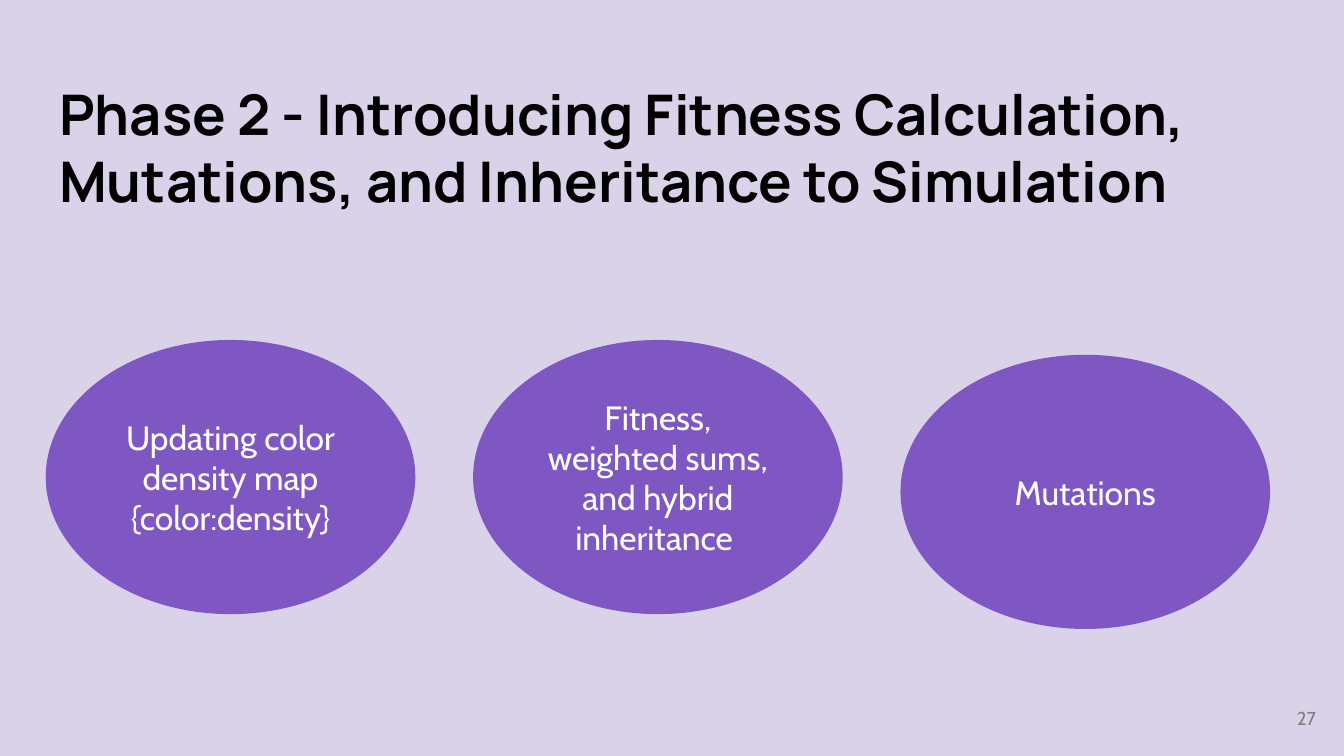
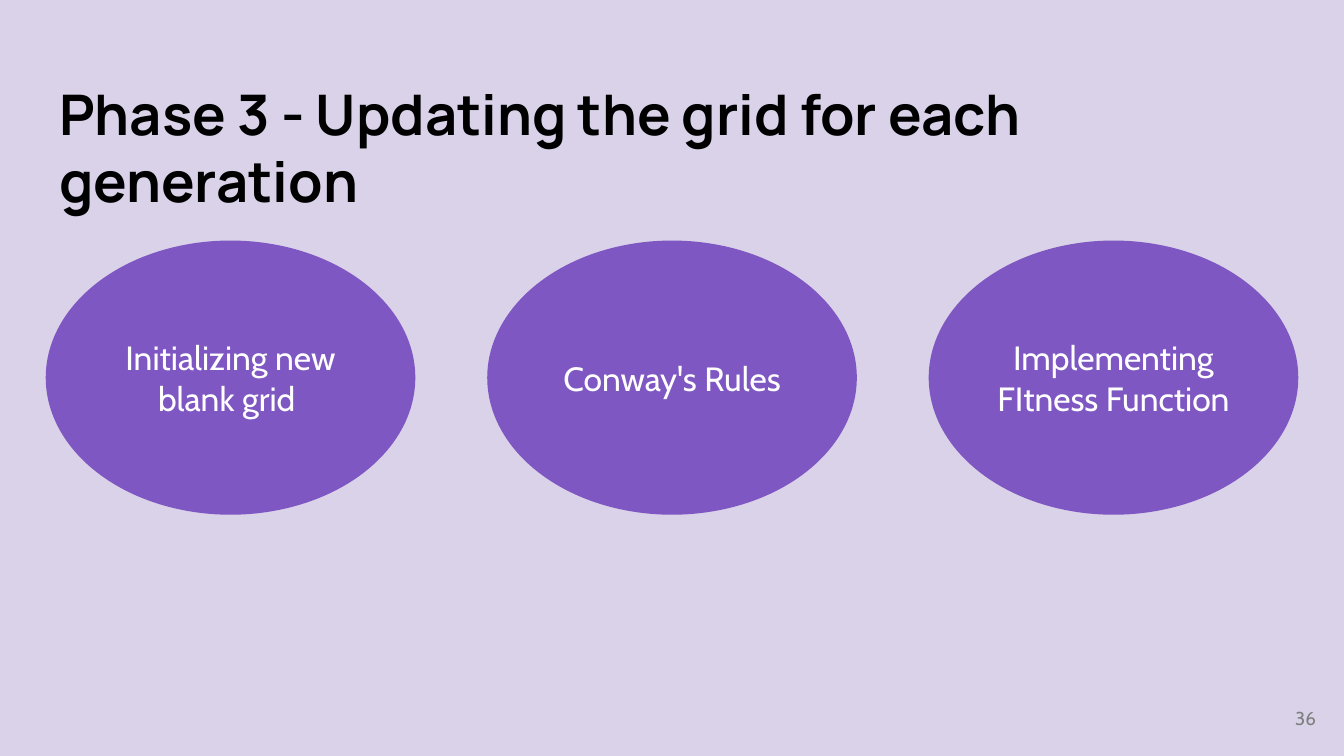
from collections import namedtuple

from pptx import Presentation
from pptx.dml.color import RGBColor
from pptx.enum.shapes import MSO_SHAPE
from pptx.enum.text import MSO_ANCHOR, MSO_AUTO_SIZE, PP_ALIGN
from pptx.util import Inches, Pt

ELLIPSE = MSO_SHAPE.OVAL
TOP, MIDDLE = MSO_ANCHOR.TOP, MSO_ANCHOR.MIDDLE
LEFT, CENTER, RIGHT = PP_ALIGN.LEFT, PP_ALIGN.CENTER, PP_ALIGN.RIGHT
NO_FIT = MSO_AUTO_SIZE.NONE
TITLE_ONLY = 5

LAVENDER, PURPLE, WHITE, BLACK, GREY = "D9D2E9", "7E57C2", "FFFFFF", "000000", "7F7F7F"
HEADING_FONT, BODY_FONT = "Manrope", "Cabin"

Box = namedtuple("Box", "left top width height")
PAGE_WIDTH = 10
PAGE_HEIGHT = PAGE_WIDTH * 9 / 16
MARGIN = 0.34
TITLE_BOX = Box(MARGIN, 0.49, PAGE_WIDTH - 2 * MARGIN, 0.68)
NUMBER_BOX = Box(9.29, 5.13, 0.6, 0.43)
TOPIC_WIDTH, TOPIC_HEIGHT = 2.75, 2.04

PHASES = [
    {
        "title": "Phase 2 - Introducing Fitness Calculation, "
                 "Mutations, and Inheritance to Simulation",
        "topics": [
            "Updating color density map {color:density}",
            "Fitness, weighted sums, and hybrid inheritance ",
            "Mutations",
        ],
        "row": Box(MARGIN, 2.53, 9.11, TOPIC_HEIGHT),
        "drops": [0, 0, 0.11],
        "number": "27",
    },
    {
        "title": "Phase 3 - Updating the grid for each generation",
        "topics": [
            "Initializing new blank grid ",
            "Conway's Rules",
            "Implementing FItness Function",
        ],
        "row": Box(MARGIN, 1.79, TITLE_BOX.width, TOPIC_HEIGHT),
        "drops": [0, 0, 0],
        "number": "36",
    },
]


def color(hex_text):
    return RGBColor.from_string(hex_text)


def inches(box):
    return [Inches(length) for length in box]


def place(shape, box):
    shape.left, shape.top, shape.width, shape.height = inches(box)


def write(shape, text, font, size, ink, align, anchor, bold=False):
    frame = shape.text_frame
    frame.text = text
    frame.word_wrap = True
    frame.auto_size = NO_FIT
    frame.vertical_anchor = anchor
    frame.margin_left = frame.margin_right = Inches(0.1)
    frame.margin_top = frame.margin_bottom = Inches(0.1)
    para = frame.paragraphs[0]
    para.alignment = align
    para.line_spacing = 1.0
    span = para.runs[0]
    span.font.name = font
    span.font.size = Pt(size)
    span.font.bold = bold
    span.font.color.rgb = color(ink)


def add_title(page, text, box):
    title = page.shapes.title
    place(title, box)
    write(title, text, HEADING_FONT, 30, BLACK, LEFT, TOP, bold=True)


def add_topics(page, topics, row, drops):
    """Spread the ellipses evenly over the row, each lowered by its drop."""
    pitch = (row.width - TOPIC_WIDTH) / (len(topics) - 1)
    for column, (topic, drop) in enumerate(zip(topics, drops)):
        box = Box(row.left + column * pitch, row.top + drop, TOPIC_WIDTH, row.height)
        ellipse = page.shapes.add_shape(ELLIPSE, *inches(box))
        ellipse.shadow.inherit = False
        ellipse.fill.solid()
        ellipse.fill.fore_color.rgb = color(PURPLE)
        ellipse.line.fill.background()
        write(ellipse, topic, BODY_FONT, 18, WHITE, CENTER, MIDDLE)


def add_page_number(page, number, box):
    label = page.shapes.add_textbox(*inches(box))
    write(label, number, BODY_FONT, 10, GREY, RIGHT, MIDDLE)


def add_phase(deck, phase):
    page = deck.slides.add_slide(deck.slide_layouts[TITLE_ONLY])
    add_title(page, phase["title"], TITLE_BOX)
    add_topics(page, phase["topics"], phase["row"], phase["drops"])
    add_page_number(page, phase["number"], NUMBER_BOX)


def main():
    deck = Presentation()
    deck.slide_width = Inches(PAGE_WIDTH)
    deck.slide_height = Inches(PAGE_HEIGHT)
    backdrop = deck.slide_master.background.fill
    backdrop.solid()
    backdrop.fore_color.rgb = color(LAVENDER)
    for phase in PHASES:
        add_phase(deck, phase)
    deck.save("out.pptx")


if __name__ == "__main__":
    main()
